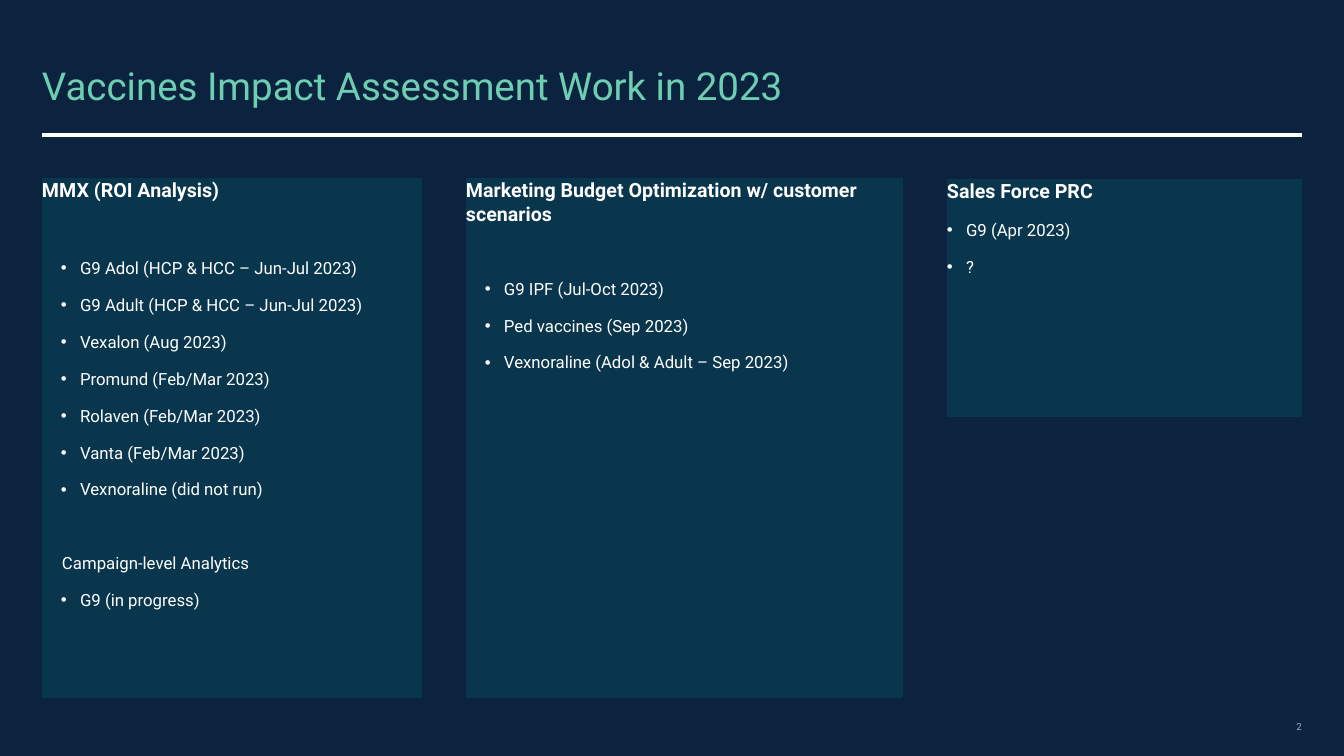
from dataclasses import dataclass

from lxml.etree import SubElement
from pptx import Presentation
from pptx.dml.color import RGBColor
from pptx.enum.shapes import MSO_CONNECTOR, MSO_SHAPE
from pptx.enum.text import MSO_ANCHOR, PP_ALIGN
from pptx.oxml.ns import qn
from pptx.util import Pt

EMU_PER_PX = 914400 / 100.8


@dataclass(frozen=True)
class Theme:
    font: str = "Roboto"
    background: str = "0C2340"
    title: str = "6ECEB2"
    text: str = "FFFFFF"
    page_number: str = "9EA7B3"
    panel: str = "00857C"
    panel_opacity: int = 20
    title_size: float = 27.5
    heading_size: float = 14
    item_size: float = 12
    page_number_size: float = 7
    rule_width: float = 2.5
    gap: float = 12
    wide_gap: float = 38
    wider_gap: float = 40


THEME = Theme()


@dataclass(frozen=True)
class Item:
    """One line of a panel; left and hanging are px, before is points."""
    text: str
    left: int = 38
    hanging: int = 19
    before: float = THEME.gap


LEFT, RIGHT = 42, 1302

PANELS = [
    ((LEFT, 178, 380, 520), "MMX (ROI Analysis)", [
        Item("G9 Adol (HCP & HCC – Jun-Jul 2023)", before=THEME.wider_gap),
        Item("G9 Adult (HCP & HCC – Jun-Jul 2023)"),
        Item("Vexalon (Aug 2023)"),
        Item("Promund (Feb/Mar 2023)"),
        Item("Rolaven (Feb/Mar 2023)"),
        Item("Vanta (Feb/Mar 2023)"),
        Item("Vexnoraline (did not run)"),
        Item("Campaign-level Analytics", 20, 0, THEME.wide_gap),
        Item("G9 (in progress)"),
    ]),
    ((466, 178, 437, 520), "Marketing Budget Optimization w/ customer scenarios", [
        Item("G9 IPF (Jul-Oct 2023)", before=THEME.wide_gap),
        Item("Ped vaccines (Sep 2023)"),
        Item("Vexnoraline (Adol & Adult – Sep 2023)"),
    ]),
    ((947, 179, 355, 238), "Sales Force PRC", [
        Item("G9 (Apr 2023)", left=19),
        Item("?", left=19),
    ]),
]


def px(value):
    return round(value * EMU_PER_PX)


def rgb(color):
    return RGBColor.from_string(color)


def set_frame(tf, anchor):
    tf.word_wrap = True
    tf.vertical_anchor = anchor
    tf.margin_left = tf.margin_top = tf.margin_right = tf.margin_bottom = 0


def write(p, text, size, color, bold=False, align=PP_ALIGN.LEFT):
    p.text = text
    p.alignment = align
    for r in p.runs:
        r.font.name = THEME.font
        r.font.size = Pt(size)
        r.font.bold = bold
        r.font.color.rgb = rgb(color)


def set_indent(p, left, hanging):
    """Indent the paragraph, with a bullet when it has a hanging indent."""
    pPr = p._p.get_or_add_pPr()
    pPr.set("marL", str(px(left)))
    pPr.set("indent", str(-px(hanging)))
    if hanging:
        SubElement(pPr, qn("a:buFont")).set("typeface", "Arial")
        SubElement(pPr, qn("a:buChar")).set("char", "•")


def add_label(s, box, text, size, color, align=PP_ALIGN.LEFT):
    tf = s.shapes.add_textbox(*map(px, box)).text_frame
    set_frame(tf, MSO_ANCHOR.MIDDLE)
    p = tf.paragraphs[0]
    write(p, text, size, color, align=align)
    return p


def add_rule(s, y):
    line = s.shapes.add_connector(
        MSO_CONNECTOR.STRAIGHT, px(LEFT), px(y), px(RIGHT), px(y))
    line.line.color.rgb = rgb(THEME.text)
    line.line.width = Pt(THEME.rule_width)
    SubElement(line._element.spPr, qn("a:effectLst"))


def add_panel(s, box, heading, items):
    sp = s.shapes.add_shape(MSO_SHAPE.RECTANGLE, *map(px, box))
    sp.shadow.inherit = False
    sp.line.fill.background()
    sp.fill.solid()
    sp.fill.fore_color.rgb = rgb(THEME.panel)
    color = sp._element.spPr.find(qn("a:solidFill"))[0]
    SubElement(color, qn("a:alpha")).set("val", str(THEME.panel_opacity * 1000))

    tf = sp.text_frame
    set_frame(tf, MSO_ANCHOR.TOP)
    p = tf.paragraphs[0]
    write(p, heading, THEME.heading_size, THEME.text, bold=True)
    p.space_before = Pt(THEME.gap)
    for item in items:
        p = tf.add_paragraph()
        write(p, item.text, THEME.item_size, THEME.text)
        p.space_before = Pt(item.before)
        set_indent(p, item.left, item.hanging)


def main():
    prs = Presentation()
    prs.slide_width, prs.slide_height = px(1344), px(756)
    s = prs.slides.add_slide(prs.slide_layouts[6])
    s.background.fill.solid()
    s.background.fill.fore_color.rgb = rgb(THEME.background)

    add_rule(s, 135)
    title = add_label(s, (LEFT, 41, RIGHT - LEFT, 94),
                      "Vaccines Impact Assessment Work in 2023",
                      THEME.title_size, THEME.title)
    title.line_spacing = 0.9
    add_label(s, (1277, 715, 25, 24), "2", THEME.page_number_size,
              THEME.page_number, PP_ALIGN.RIGHT)
    for box, heading, items in PANELS:
        add_panel(s, box, heading, items)

    prs.save("out.pptx")


if __name__ == "__main__":
    main()
